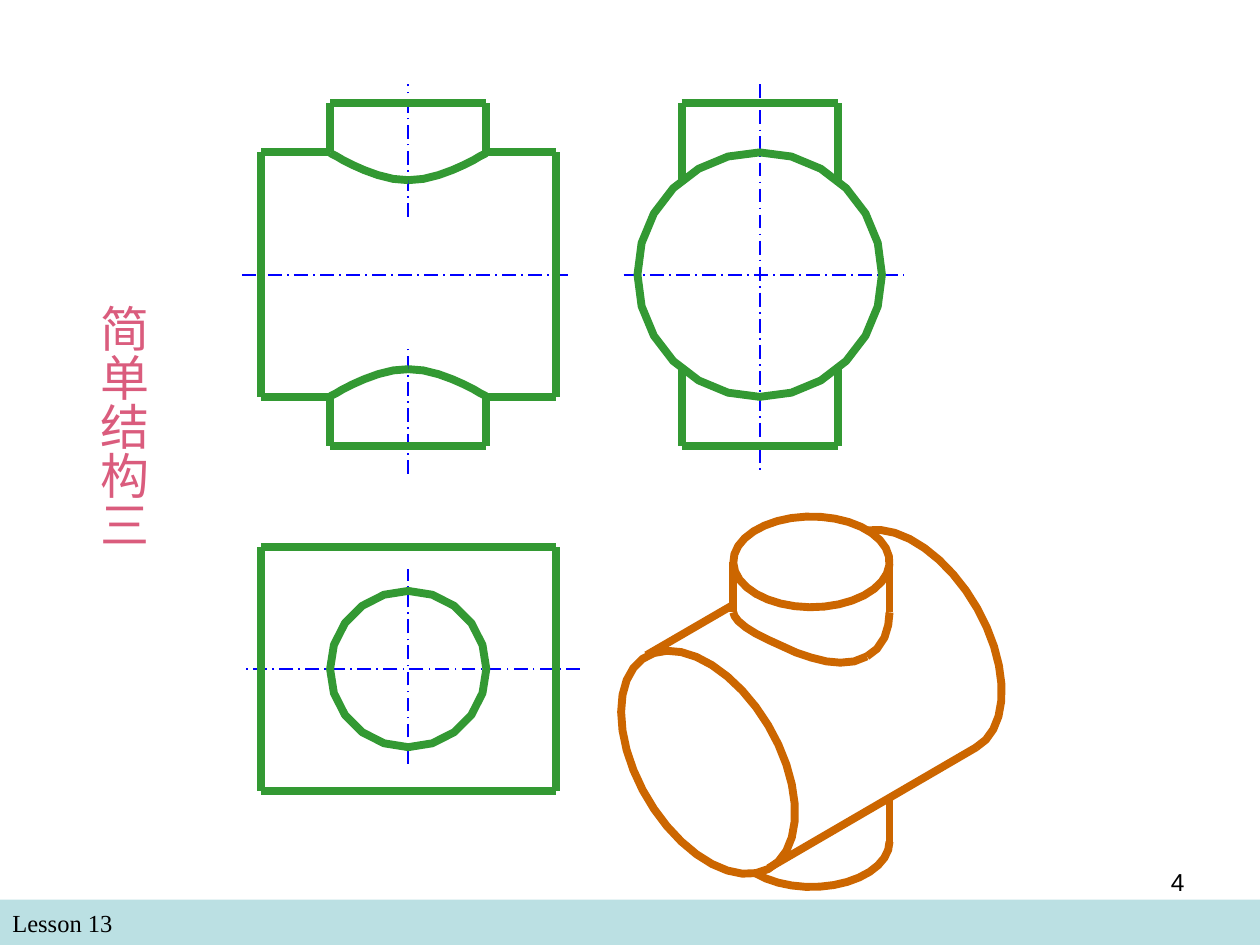
from dataclasses import dataclass
from itertools import product
from math import cos, radians, sin

from lxml.etree import SubElement
from pptx import Presentation
from pptx.dml.color import RGBColor
from pptx.enum.dml import MSO_LINE_DASH_STYLE as Dash
from pptx.enum.shapes import MSO_CONNECTOR as Connector, MSO_SHAPE as Shape
from pptx.enum.text import PP_ALIGN as Align
from pptx.oxml.ns import qn
from pptx.util import Inches, Pt

COLORS = {"axis": "0000FF", "view": "339933", "solid": "CC6600",
          "band": "BBE0E3", "title": "DA5C7D", "text": "000000"}
Point = tuple[float, float]


@dataclass
class Pen:
    color: str
    width: float
    dash: Dash | None = None


@dataclass
class Ellipse:
    """Centre plus the vectors reached at 0 and 90 degrees."""
    center: Point
    cosine: Point
    sine: Point

    def arc(self, start: float, end: float, steps: int) -> list[Point]:
        angles = [radians(start + (end - start) * i / steps) for i in range(steps + 1)]
        return [tuple(c + u * cos(a) + v * sin(a)
                      for c, u, v in zip(self.center, self.cosine, self.sine))
                for a in angles]


AXIS = Pen("axis", 1, Dash.LONG_DASH_DOT)
VIEW = Pen("view", 4.5)
SOLID = Pen("solid", 4.5)


def rgb(name: str) -> RGBColor:
    return RGBColor.from_string(COLORS[name])


def apply_pen(line, pen: Pen) -> None:
    line.color.rgb = rgb(pen.color)
    line.width = Pt(pen.width)
    if pen.dash is not None:
        line.dash_style = pen.dash


def draw_line(group, pen: Pen, start: Point, end: Point) -> None:
    connector = group.shapes.add_connector(
        Connector.STRAIGHT, *(Inches(value) for value in (*start, *end)))
    apply_pen(connector.line, pen)
    SubElement(connector._element.spPr, qn("a:effectLst"))


def draw_curve(group, pen: Pen, points: list[Point], close: bool = False) -> None:
    corners = [(Inches(x), Inches(y)) for x, y in points]
    builder = group.shapes.build_freeform(*corners[0])
    builder.add_line_segments(corners[1:], close=close)
    curve = builder.convert_to_shape()
    curve.shadow.inherit = False
    curve.fill.background()
    apply_pen(curve.line, pen)


def draw_circle(group, pen: Pen, center: Point, radius: float, sides: int) -> None:
    circle = Ellipse(center, (radius, 0), (0, radius))
    draw_curve(group, pen, circle.arc(0, 360, sides)[:-1], close=True)


def add_text(page, text: str, left: float, top: float, width: float, height: float, *,
             size: float, font: str = "Arial", color: str = "text",
             align: Align = Align.LEFT, vertical: bool = False,
             margin_top: float = 0.05) -> None:
    box = page.shapes.add_textbox(Inches(left), Inches(top), Inches(width), Inches(height))
    frame = box.text_frame
    frame.word_wrap = True
    frame.margin_top = Inches(margin_top)
    if vertical:
        frame._txBody.bodyPr.set("vert", "eaVert")
        frame.margin_left = frame.margin_right = Inches(0.05)
        frame.margin_bottom = Inches(0.1)
    para = frame.paragraphs[0]
    para.alignment = align
    span = para.add_run()
    span.text = text
    span.font.name = font
    span.font.size = Pt(size)
    span.font.color.rgb = rgb(color)


# Shared dimensions of the three views
FRONT_X, SIDE_X = 3.24, 6.03
UPPER_Y, PLAN_Y = 2.18, 5.31
HALF_LENGTH, RADIUS = 1.17, 0.97
STUB_RADIUS, STUB_END, SADDLE = 0.62, 1.36, 0.75
SIGNS = (-1, 1)
# Half of the intersection curve, measured from its lowest point
SADDLE_HALF = [(0, 0), (0.12, 0.01), (0.24, 0.04), (0.35, 0.08), (0.44, 0.12),
               (0.52, 0.16), (0.57, 0.19), (0.61, 0.21), (0.62, 0.22)]


def draw_axes(page) -> None:
    group = page.shapes.add_group_shape()
    for start, end in [((FRONT_X, 3.76), (FRONT_X, 2.74)), ((SIDE_X, 0.67), (SIDE_X, 3.76)),
                       ((1.92, UPPER_Y), (4.54, UPPER_Y)), ((4.6, PLAN_Y), (1.92, PLAN_Y)),
                       ((FRONT_X, 6.06), (FRONT_X, 4.52)), ((FRONT_X, 1.72), (FRONT_X, 0.67)),
                       ((4.95, UPPER_Y), (7.17, UPPER_Y))]:
        draw_line(group, AXIS, start, end)


def draw_views(page) -> None:
    group = page.shapes.add_group_shape()
    # Ends of the large cylinder, front and plan
    for middle, side in product((UPPER_Y, PLAN_Y), SIGNS):
        x = FRONT_X + side * HALF_LENGTH
        draw_line(group, VIEW, (x, middle - RADIUS), (x, middle + RADIUS))
    # Long edges of the plan and ends of the stubs
    for side in SIGNS:
        y = PLAN_Y + side * RADIUS
        draw_line(group, VIEW, (FRONT_X - HALF_LENGTH, y), (FRONT_X + HALF_LENGTH, y))
        for middle in (FRONT_X, SIDE_X):
            y = UPPER_Y + side * STUB_END
            draw_line(group, VIEW, (middle - STUB_RADIUS, y), (middle + STUB_RADIUS, y))
    # Quarter by quarter: shoulders, stub walls and intersection curves
    for across, down in product(SIGNS, SIGNS):
        wall, shoulder = FRONT_X + across * STUB_RADIUS, UPPER_Y + down * RADIUS
        stub_end = UPPER_Y + down * STUB_END
        draw_line(group, VIEW, (wall, shoulder), (FRONT_X + across * HALF_LENGTH, shoulder))
        draw_line(group, VIEW, (wall, shoulder), (wall, stub_end))
        draw_curve(group, VIEW, [(FRONT_X + across * x, UPPER_Y + down * (SADDLE + y))
                                 for x, y in SADDLE_HALF])
        side_wall = SIDE_X + across * STUB_RADIUS
        draw_line(group, VIEW, (side_wall, UPPER_Y + down * SADDLE), (side_wall, stub_end))
    draw_circle(group, VIEW, (FRONT_X, PLAN_Y), STUB_RADIUS, 20)
    draw_circle(group, VIEW, (SIDE_X, UPPER_Y), RADIUS, 24)


def draw_solid(page) -> None:
    group = page.shapes.add_group_shape()
    # Large cylinder: rear arc and front face
    rear, front = (Ellipse(center, (-0.69, -0.4), (0, 0.79))
                   for center in ((7.26, 5.09), (5.62, 6.05)))
    draw_curve(group, SOLID, rear.arc(135, 303, 17))
    draw_curve(group, SOLID, front.arc(0, 360, 35)[:-1], close=True)
    # Where the upper stub meets the cylinder
    draw_curve(group, SOLID, [(6.88, 5.21), (6.78, 5.25), (6.67, 5.26), (6.56, 5.25),
                              (6.44, 5.22), (6.32, 5.18), (6.21, 5.13), (6.1, 5.08),
                              (6, 5.03), (5.92, 4.98), (5.86, 4.93), (5.83, 4.89),
                              (5.82, 4.86)])
    draw_curve(group, SOLID, [(7.06, 4.86), (7.05, 4.96), (7.02, 5.06), (6.96, 5.15),
                              (6.88, 5.21)])
    # Stub ends
    top, bottom = (Ellipse((6.44, y), (0.62, 0), (0, 0.36)) for y in (4.46, 6.68))
    draw_curve(group, SOLID, top.arc(135, -225, 33)[:-1], close=True)
    draw_curve(group, SOLID, bottom.arc(136, 0, 13))
    # Straight outlines
    for start, end in [((7.06, 6.68), (7.06, 6.33)), ((7.06, 4.86), (7.06, 4.46)),
                       ((5.82, 4.46), (5.82, 4.86)), ((6.1, 6.89), (7.75, 5.93)),
                       ((5.82, 4.8), (5.13, 5.2))]:
        draw_line(group, SOLID, start, end)


def main() -> None:
    deck = Presentation()
    deck.slide_width, deck.slide_height = Inches(10), Inches(7.5)
    page = deck.slides.add_slide(deck.slide_layouts[6])

    # Footer band
    band = page.shapes.add_shape(Shape.RECTANGLE, Inches(0), Inches(7.14),
                                 Inches(10), Inches(0.36))
    band.shadow.inherit = False
    band.fill.solid()
    band.fill.fore_color.rgb = rgb("band")
    band.line.fill.background()
    add_text(page, "Lesson 13", 0, 7.16, 4.83, 0.34, size=14, font="Times New Roman")

    # Drawings
    draw_axes(page)
    draw_views(page)
    draw_solid(page)

    # Title and page number
    add_text(page, "简单结构三", 0.6, 0.76, 0.66, 5.28, size=28, color="title",
             vertical=True, margin_top=1.66)
    add_text(page, "4", 7.17, 6.83, 2.33, 0.52, size=14, align=Align.RIGHT)

    deck.save("out.pptx")


if __name__ == "__main__":
    main()
